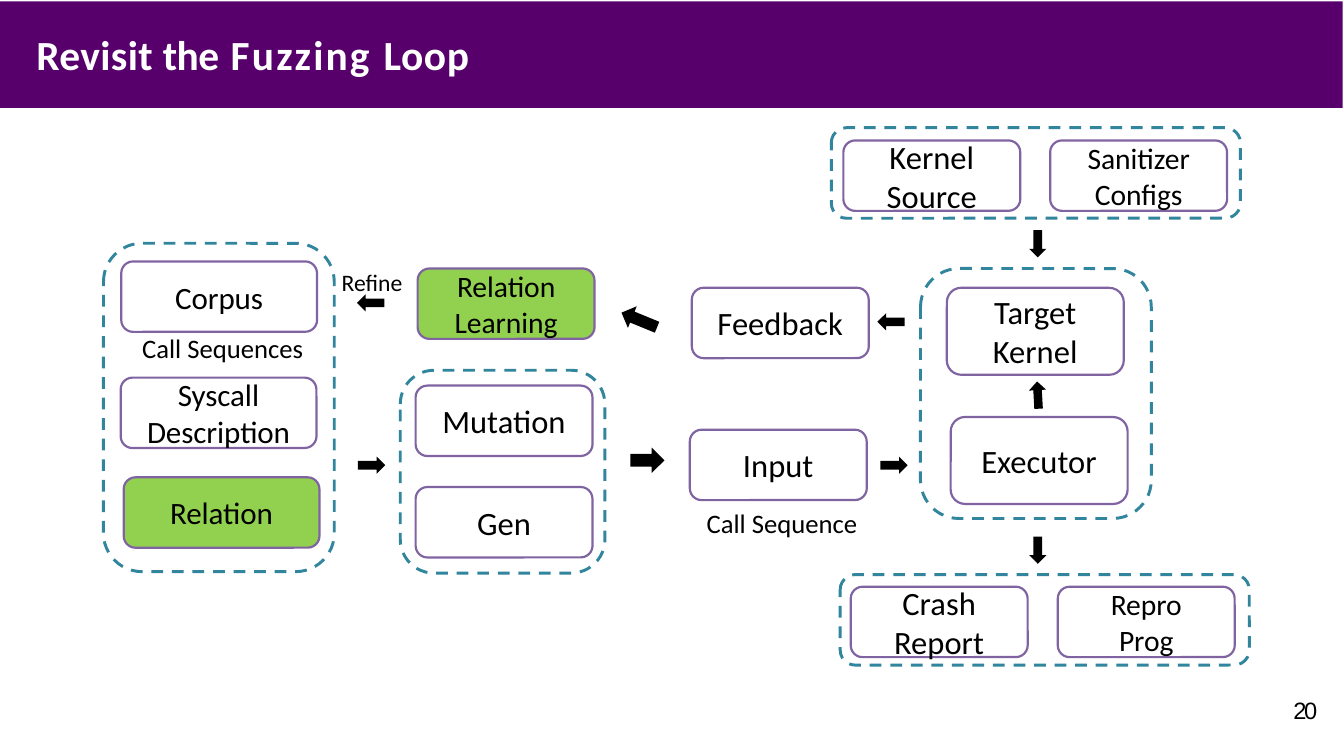
import pptx
import pptx.util
import pptx.dml.color
import pptx.enum.dml
import pptx.enum.shapes
import pptx.enum.text

Pt = pptx.util.Pt
RGBColor = pptx.dml.color.RGBColor
Shapes = pptx.enum.shapes.MSO_SHAPE
Align = pptx.enum.text.PP_ALIGN

PURPLE = RGBColor(0x57, 0x00, 0x6B)
VIOLET = RGBColor(0x80, 0x64, 0xA2)
TEAL = RGBColor(0x31, 0x85, 0x9C)
GREEN = RGBColor(0x92, 0xD0, 0x50)
BLACK = RGBColor(0, 0, 0)
WHITE = RGBColor(255, 255, 255)

WIDTH, HEIGHT = 454.3, 255.6
STAGE_WIDTH, STORE_WIDTH = 59.8, 66.2
LOW, TALL = 23.8, 29.4

STAGES = [
    ("Kernel Source", 285.1, 47.5, STAGE_WIDTH, LOW, 11, None),
    ("Sanitizer Configs", 355, 47.5, STAGE_WIDTH, LOW, 10, None),
    ("Corpus", 41, 88.4, STORE_WIDTH, LOW, 10.5, None),
    ("Syscall\nDescription", 40.8, 127.7, STORE_WIDTH, LOW, 10.5, None),
    ("Relation", 41.8, 161.4, STORE_WIDTH, LOW, 10.5, GREEN),
    ("Relation Learning", 141.2, 90.8, STAGE_WIDTH, LOW, 10, GREEN),
    ("Mutation", 140.5, 130.4, STAGE_WIDTH, LOW, 11, None),
    ("Gen", 140.5, 164.7, STAGE_WIDTH, LOW, 11, None),
    ("Feedback", 233.9, 97.3, STAGE_WIDTH, LOW, 11, None),
    ("Input", 233.2, 145.3, STAGE_WIDTH, LOW, 11, None),
    ("Target\nKernel", 320.1, 97.3, STAGE_WIDTH, TALL, 11, None),
    ("Executor", 321.4, 141, STAGE_WIDTH, TALL, 11, None),
    ("Crash\nReport", 287.6, 198.4, STAGE_WIDTH, LOW, 11, None),
    ("Repro\nProg", 357.6, 198.4, STAGE_WIDTH, LOW, 10, None),
]
GROUPS = [
    (281, 43.2, 138.3, 30.6),
    (311.2, 90.8, 78, 84.5),
    (35, 82.3, 78, 111),
    (135.3, 125.2, 69.2, 68.6),
    (284, 194.3, 138.3, 30.6),
]
SMALL, MEDIUM, LARGE = (5.8, 9.2), (7.9, 13), (8.6, 11.5)
ARROWS = [
    (350.8, 82.4, SMALL, 0),
    (350.8, 186, SMALL, 0),
    (350.8, 133.6, SMALL, 176.7),
    (302.2, 157.3, SMALL, 270),
    (301.2, 108.8, SMALL, 90),
    (125.6, 157.3, SMALL, 270),
    (125.3, 102.4, SMALL, 90),
    (218.9, 155.6, LARGE, 270),
    (216.1, 108.2, MEDIUM, 112.3),
]
LABELS = [
    ("Refine ", 108, 87.1, 37.4, 8, Align.CENTER),
    ("Call Sequences", 41, 108.7, 69.1, 9, Align.LEFT),
    ("Call Sequence", 231.8, 167.8, 66.2, 9, Align.LEFT),
]
TITLE = [("Revisit ", 0.1), ("the", -0.2), (" Fuzzing ", 0.7), ("Loop", 0.2)]


def style_span(span, size, color=BLACK, name="Calibri", bold=False):
    span.font.name = name
    span.font.size = Pt(size)
    span.font.bold = bold
    span.font.color.rgb = color


def track(span, spacing):
    span._r.get_or_add_rPr().set("spc", str(round(spacing * 100)))


def add_outline(page, kind, left, top, width, height, fill=None, line=None, weight=0.75):
    box = page.shapes.add_shape(kind, Pt(left), Pt(top), Pt(width), Pt(height))
    box.shadow.inherit = False
    if fill is None:
        box.fill.background()
    else:
        box.fill.solid()
        box.fill.fore_color.rgb = fill
    if line is None:
        box.line.fill.background()
    else:
        box.line.color.rgb = line
        box.line.width = Pt(weight)
    return box


def add_stage(page, text, left, top, width, height, size, fill):
    box = add_outline(page, Shapes.ROUNDED_RECTANGLE, left, top, width, height, fill, VIOLET)
    frame = box.text_frame
    frame.word_wrap = True
    frame.vertical_anchor = pptx.enum.text.MSO_ANCHOR.MIDDLE
    frame.text = text
    for para in frame.paragraphs:
        para.alignment = Align.CENTER
        style_span(para.runs[0], size)


def add_group(page, left, top, width, height):
    box = add_outline(page, Shapes.ROUNDED_RECTANGLE, left, top, width, height, None, TEAL, 1)
    box.line.dash_style = pptx.enum.dml.MSO_LINE.DASH


def add_arrow(page, center_x, center_y, size, rotation):
    width, height = size
    arrow = add_outline(page, Shapes.DOWN_ARROW, center_x - width / 2, center_y - height / 2,
                        width, height, BLACK)
    arrow.rotation = rotation


def add_text_box(page, left, top, width, height):
    box = page.shapes.add_textbox(Pt(left), Pt(top), Pt(width), Pt(height))
    box.text_frame.auto_size = pptx.enum.text.MSO_AUTO_SIZE.SHAPE_TO_FIT_TEXT
    return box.text_frame


def add_label(page, text, left, top, width, size, alignment):
    frame = add_text_box(page, left, top, width, 17.6)
    frame.word_wrap = False
    frame.text = text
    para = frame.paragraphs[0]
    para.alignment = alignment
    style_span(para.runs[0], size)


def add_flush_text(page, left, top, width, height, pieces, inset_top, space, **style):
    frame = add_text_box(page, left, top, width, height)
    frame.word_wrap = True
    frame.margin_left = frame.margin_right = frame.margin_bottom = 0
    frame.margin_top = Pt(inset_top)
    para = frame.paragraphs[0]
    para.space_before = Pt(space)
    for text, spacing in pieces:
        span = para.add_run()
        span.text = text
        style_span(span, **style)
        track(span, spacing)


def main():
    deck = pptx.Presentation()
    deck.slide_width, deck.slide_height = Pt(WIDTH), Pt(HEIGHT)
    page = deck.slides.add_slide(deck.slide_layouts[6])
    add_outline(page, Shapes.RECTANGLE, 0, 0.5, 453.9, 36, PURPLE)
    add_flush_text(page, 12.3, 8.6, 215, 18, TITLE, 1.4, 1.4,
                   size=14, color=WHITE, bold=True)
    for stage in STAGES:
        add_stage(page, *stage)
    for group in GROUPS:
        add_group(page, *group)
    for arrow in ARROWS:
        add_arrow(page, *arrow)
    for label in LABELS:
        add_label(page, *label)
    add_flush_text(page, 437.2, 235.4, 12, 10, [("20", -0.8)], 0, 0.2,
                   size=8, name="Arial")
    deck.save("out.pptx")


if __name__ == "__main__":
    main()
